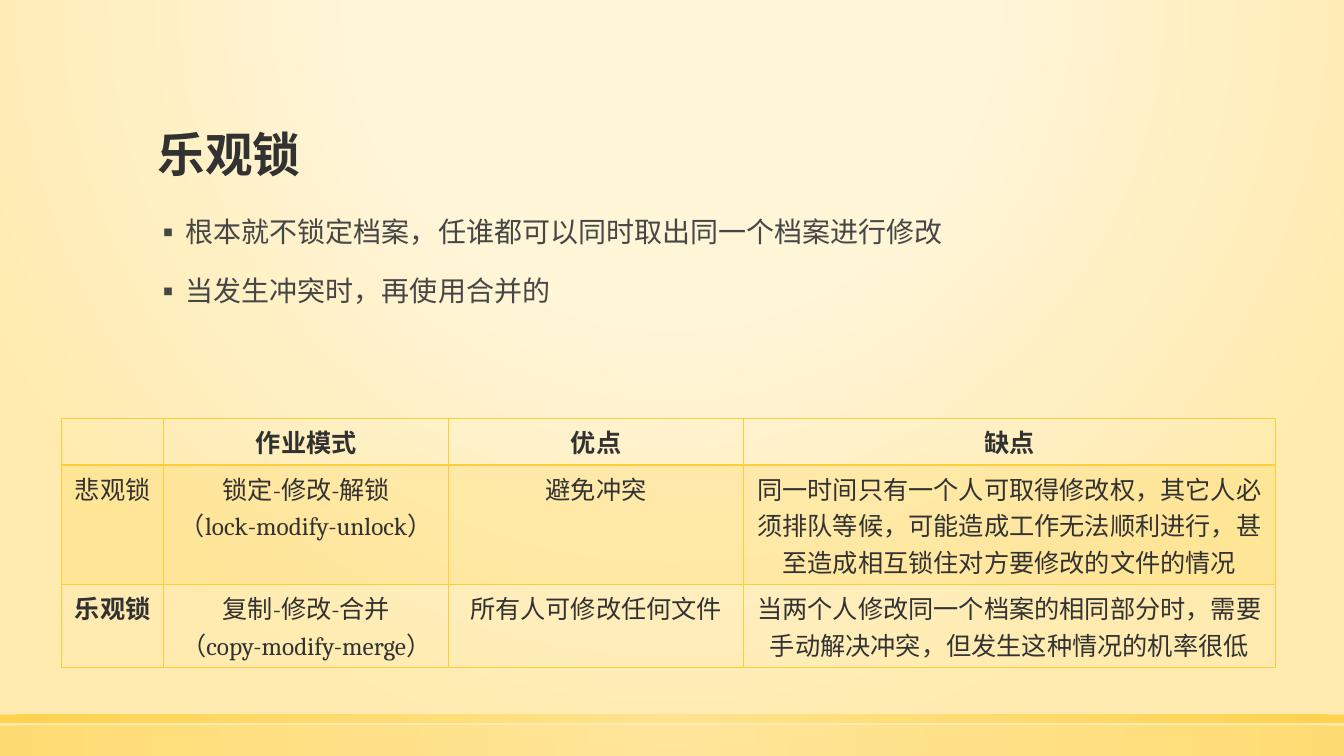
from lxml import etree
from pptx import Presentation
from pptx.dml.color import RGBColor
from pptx.enum import shapes, text
from pptx.oxml import ns
from pptx.util import Pt

DARK = RGBColor(0x32, 0x32, 0x32)
GREY = RGBColor(0x46, 0x46, 0x46)
GOLD = RGBColor(0xFF, 0xCD, 0x36)
LIGHT_GOLD = RGBColor(0xFF, 0xE1, 0x86)
CREAM = RGBColor(0xFF, 0xF5, 0xD7)
SAND = RGBColor(0xFF, 0xEB, 0xAF)

HEADING_FONT = "Noto Sans CJK SC"
TABLE_FONT = "Cambria"
SLIDE_WIDTH, SLIDE_HEIGHT = Pt(960), Pt(540)

BULLETS = [
    "根本就不锁定档案，任谁都可以同时取出同一个档案进行修改",
    "当发生冲突时，再使用合并的",
]
ROWS = [
    ["", "作业模式", "优点", "缺点"],
    ["悲观锁", "锁定-修改-解锁\n（lock-modify-unlock）", "避免冲突",
     "同一时间只有一个人可取得修改权，其它人必须排队等候，可能造成工作无法顺利进行，"
     "甚至造成相互锁住对方要修改的文件的情况"],
    ["乐观锁", "复制-修改-合并\n（copy-modify-merge）", "所有人可修改任何文件",
     "当两个人修改同一个档案的相同部分时，需要手动解决冲突，但发生这种情况的机率很低"],
]
COLUMN_WIDTHS = [73, 203.5, 210.5, 380]
ROW_HEIGHTS = [33, 85.5, 59.5]
BOLD_CELLS = {(0, 1), (0, 2), (0, 3), (2, 0)}


def add_child(parent, tag, **attributes):
    child = etree.SubElement(parent, ns.qn(tag))
    for name, value in attributes.items():
        child.set(name, str(value))
    return child


def add_color(parent, color, alpha=100):
    element = add_child(parent, "a:srgbClr", val=color)
    if alpha < 100:
        add_child(element, "a:alpha", val=alpha * 1000)


def set_radial_fill(fill, parent, stops, focus):
    """Fill with a circular gradient; stops are (position, colour, alpha) in percent."""
    fill.solid()
    solid = next(parent.iter(ns.qn("a:solidFill")))
    gradient = etree.Element(ns.qn("a:gradFill"), rotWithShape="1")
    stop_list = add_child(gradient, "a:gsLst")
    for position, color, alpha in stops:
        add_color(add_child(stop_list, "a:gs", pos=position * 1000), color, alpha)
    circle = add_child(gradient, "a:path", path="circle")
    sides = {side: value * 1000 for side, value in zip("ltrb", focus)}
    add_child(circle, "a:fillToRect", **sides)
    solid.getparent().replace(solid, gradient)


def add_bar(slide, top, height, alpha):
    bar = slide.shapes.add_shape(
        shapes.MSO_SHAPE.RECTANGLE, 0, Pt(top), SLIDE_WIDTH, Pt(height))
    bar.shadow.inherit = False
    bar.line.fill.background()
    stops = [(0, LIGHT_GOLD, alpha), (100, GOLD, alpha)]
    set_radial_fill(bar.fill, bar.element.spPr, stops, (50, 50, 50, 50))


def write_paragraph(paragraph, words, font, size, color, bold=False, **layout):
    for name, value in layout.items():
        setattr(paragraph, name, value)
    run = paragraph.add_run()
    run.text = words
    for name, value in {"name": font, "size": Pt(size), "bold": bold}.items():
        setattr(run.font, name, value)
    run.font.color.rgb = color
    add_child(run.font._element, "a:ea", typeface=HEADING_FONT)


def write_title(slide, words):
    title = slide.shapes.title
    place = {"left": 105.5, "top": 37, "width": 749, "height": 97}
    for name, value in place.items():
        setattr(title, name, Pt(value))
    frame = title.text_frame
    frame.vertical_anchor = text.MSO_ANCHOR.BOTTOM
    write_paragraph(frame.paragraphs[0], words, HEADING_FONT, 34, DARK, True,
                    alignment=text.PP_ALIGN.LEFT, line_spacing=0.9)


def add_bullets(slide, lines):
    frame = slide.shapes.add_textbox(Pt(103), Pt(150), Pt(752), Pt(120)).text_frame
    frame.word_wrap = True
    for index, line in enumerate(lines):
        paragraph = frame.add_paragraph() if index else frame.paragraphs[0]
        write_paragraph(paragraph, line, HEADING_FONT, 20, GREY,
                        line_spacing=1.0, space_before=Pt(18 if index else 0))
        properties = paragraph._p.get_or_add_pPr()
        properties.set("marL", str(Pt(22.5)))
        properties.set("indent", str(-Pt(22)))
        add_child(properties, "a:buFont", typeface=HEADING_FONT)
        add_child(properties, "a:buChar", char="▪")


def set_borders(cell, widths):
    properties = cell._tc.get_or_add_tcPr()
    for index, (side, width) in enumerate(widths.items()):
        line = etree.Element(ns.qn(f"a:ln{side}"), w=str(Pt(width)))
        add_color(add_child(line, "a:solidFill"), GOLD)
        properties.insert(index, line)


def format_cell(cell, row, column):
    if row == 1:
        cell.fill.solid()
        cell.fill.fore_color.rgb = GOLD
        color = next(cell._tc.tcPr.iter(ns.qn("a:srgbClr")))
        add_child(color, "a:alpha", val=20000)
    else:
        cell.fill.background()
    set_borders(cell, {"L": 1, "R": 1, "T": 2 if row == 1 else 1,
                       "B": 2 if row == 0 else 1})
    frame = cell.text_frame
    for index, line in enumerate(filter(None, ROWS[row][column].split("\n"))):
        paragraph = frame.add_paragraph() if index else frame.paragraphs[0]
        write_paragraph(paragraph, line, TABLE_FONT, 18, DARK,
                        (row, column) in BOLD_CELLS,
                        alignment=text.PP_ALIGN.CENTER)


def add_lock_table(slide):
    table = slide.shapes.add_table(
        len(ROWS), len(COLUMN_WIDTHS), Pt(44), Pt(299),
        Pt(sum(COLUMN_WIDTHS)), Pt(sum(ROW_HEIGHTS))).table
    table.horz_banding = False
    for column, width in zip(table.columns, COLUMN_WIDTHS):
        column.width = Pt(width)
    for row, height in zip(table.rows, ROW_HEIGHTS):
        row.height = Pt(height)
    for row in range(len(ROWS)):
        for column in range(len(COLUMN_WIDTHS)):
            format_cell(table.cell(row, column), row, column)


def main():
    presentation = Presentation()
    presentation.slide_width = SLIDE_WIDTH
    presentation.slide_height = SLIDE_HEIGHT
    slide = presentation.slides.add_slide(presentation.slide_layouts[5])
    stops = [(0, CREAM, 59), (40, CREAM, 66), (100, SAND, 100)]
    set_radial_fill(slide.background.fill, slide.element, stops, (50, -80, 50, 180))
    add_bar(slide, 518.4, 21.6, 50)
    add_bar(slide, 510.4, 6, 80)
    write_title(slide, "乐观锁")
    add_bullets(slide, BULLETS)
    add_lock_table(slide)
    presentation.save("out.pptx")


if __name__ == "__main__":
    main()
